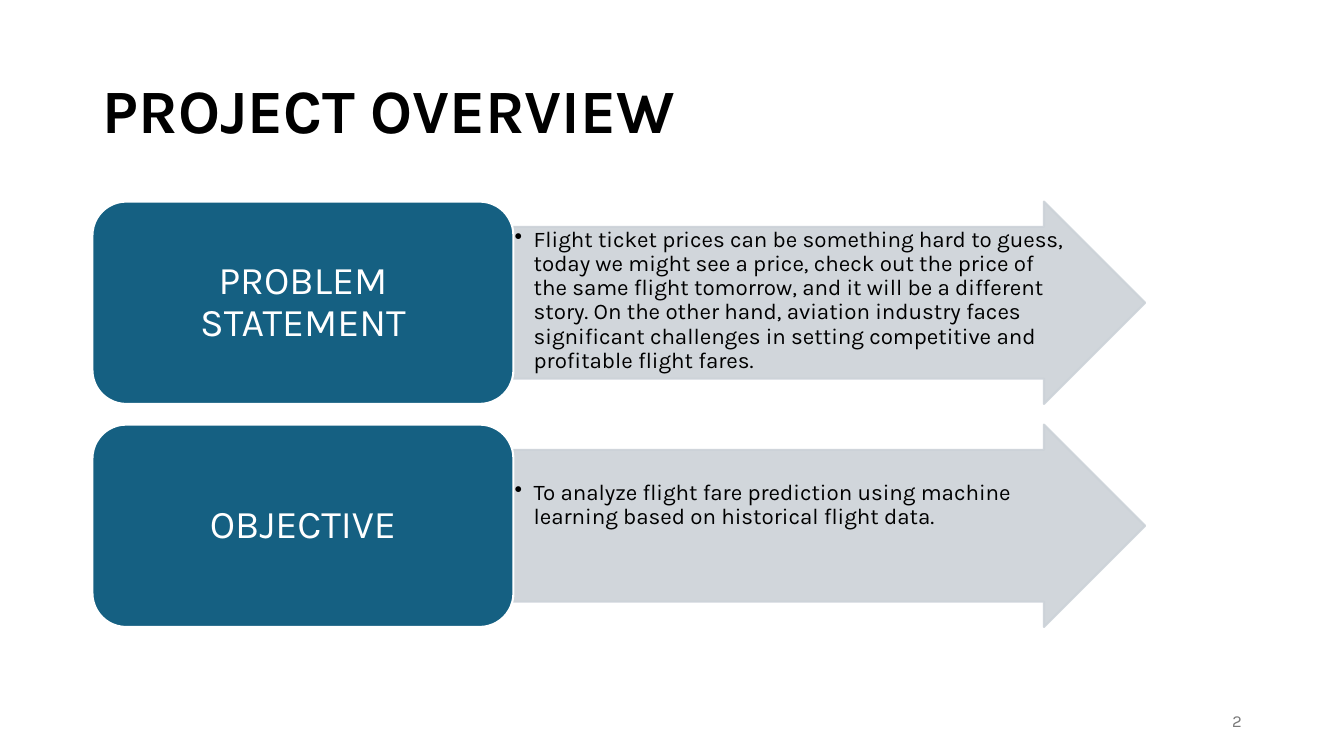
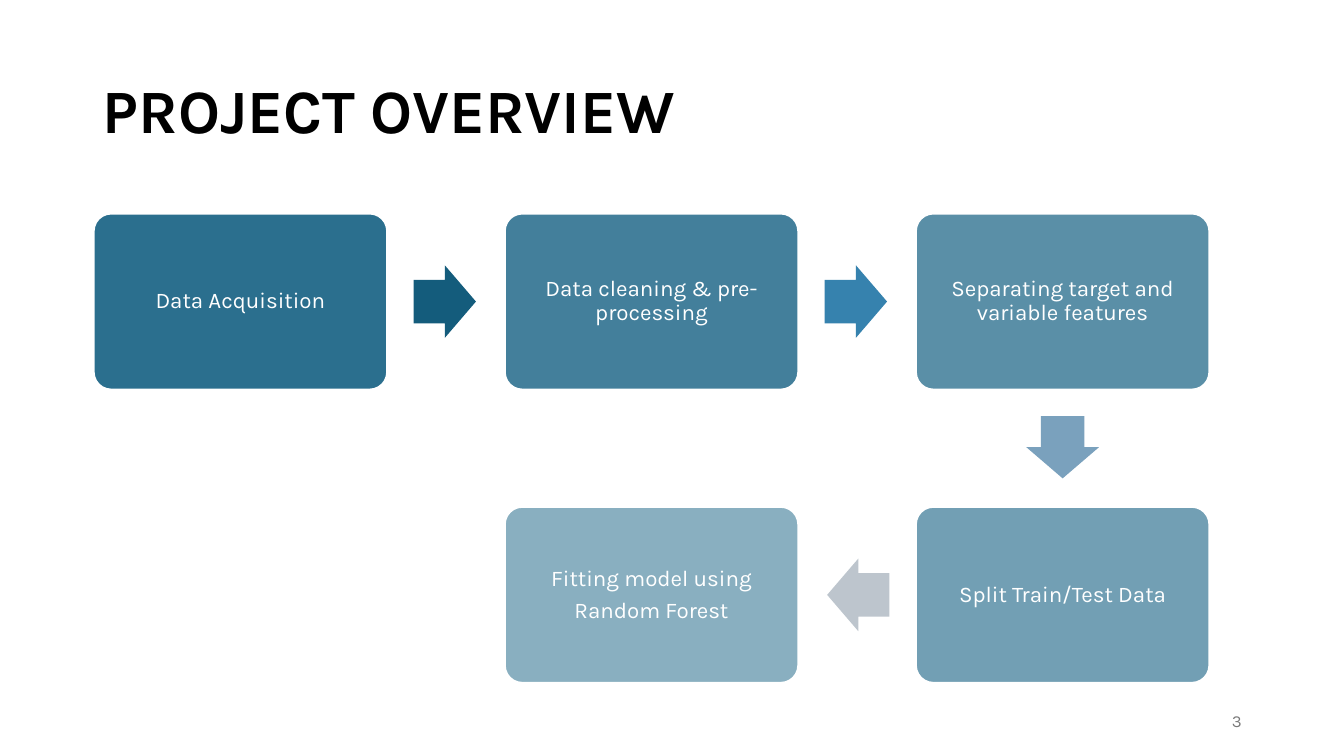
from copy import deepcopy
from math import atan2, degrees

from lxml import etree
from pptx import Presentation
from pptx.dml.color import RGBColor
from pptx.enum import shapes as kinds, text as txt
from pptx.oxml.ns import qn
from pptx.util import Cm, Pt

# Content
TITLE = "PROJECT OVERVIEW"
FIRST_PAGE = 2
# label, explanation, space above the explanation in cm
GOALS = [
    ("PROBLEM STATEMENT",
     "Flight ticket prices can be something hard to guess, today we might see "
     "a price, check out the price of the same flight tomorrow, and it will be "
     "a different story. On the other hand, aviation industry faces significant "
     "challenges in setting competitive and profitable flight fares.", 0.03),
    ("OBJECTIVE",
     "To analyze flight fare prediction using machine learning based on "
     "historical flight data.", 0.79),
]
# paragraphs, (column, row), opacity, colour of the arrow to the next step
STEPS = [
    (["Data Acquisition"], (0, 0), 90, "145C7C"),
    (["Data cleaning & pre-processing"], (1, 0), 80, "3682AE"),
    (["Separating target and variable features"], (2, 0), 70, "7AA1BD"),
    (["Split Train/Test Data"], (2, 1), 60, "BDC5CD"),
    (["Fitting model using", "Random Forest"], (1, 1), 50, None),
]

# Shared style
FONT = "Karla"
BLUE, PALE, WHITE, BLACK, GREY = "156082", "CCD2D8", "FFFFFF", "000000", "797979"
TITLE_BOX = (2.34, 1.02, 29.21, 3.68)
NUMBER_BOX = (23.93, 17.65, 7.62, 1.02)
ALIGN, SHAPE = txt.PP_ALIGN, kinds.MSO_SHAPE


def colour(target, value, opacity=100):
    """Give a fill or a line format a solid colour."""
    fill = getattr(target, "fill", target)
    fill.solid()
    fill.fore_color.rgb = RGBColor.from_string(value)
    if opacity < 100:
        clr = next(fill.fore_color._xFill.iter(qn("a:srgbClr")))
        etree.SubElement(clr, qn("a:alpha"), val=str(opacity * 1000))


def place(shape, box):
    shape.left, shape.top, shape.width, shape.height = map(Cm, box)


def write(shape, paragraphs, size, ink, align, bold=False, spacing=0.9, after=0,
          anchor=txt.MSO_ANCHOR.MIDDLE, insets=None):
    frame = shape.text_frame
    frame.clear()
    frame.word_wrap = True
    frame.auto_size = txt.MSO_AUTO_SIZE.NONE
    frame.vertical_anchor = anchor
    if insets:
        (frame.margin_left, frame.margin_top,
         frame.margin_right, frame.margin_bottom) = map(Cm, insets)
    for i, words in enumerate(paragraphs):
        paragraph = frame.add_paragraph() if i else frame.paragraphs[0]
        paragraph.alignment = align
        paragraph.line_spacing = spacing
        paragraph.space_before, paragraph.space_after = Pt(0), Pt(after)
        run = paragraph.add_run()
        run.text = words
        run.font.name, run.font.size, run.font.bold = FONT, Pt(size), bold
        run.font.color.rgb = RGBColor.from_string(ink)


def add_bullets(shape, indent):
    for paragraph in shape.text_frame.paragraphs:
        props = paragraph._p.get_or_add_pPr()
        props.set("marL", str(Cm(indent)))
        props.set("indent", str(-Cm(indent)))
        etree.SubElement(props, qn("a:buChar"), char="•")


def add_block(slide, kind, box, fill, opacity=100, line=None, line_opacity=100,
              adjust=()):
    block = slide.shapes.add_shape(kind, *map(Cm, box))
    block.shadow.inherit = False
    for i, value in enumerate(adjust):
        block.adjustments[i] = value
    colour(block.fill, fill, opacity)
    if line:
        colour(block.line, line, line_opacity)
        block.line.width = Pt(1.5)
    else:
        block.line.fill.background()
    return block


def set_up_layout(layout):
    """Move the title and number placeholders; return the number's."""
    place(layout.placeholders[0], TITLE_BOX)
    number = next(p for p in layout.placeholders if p.placeholder_format.type
                  == kinds.PP_PLACEHOLDER.SLIDE_NUMBER)
    place(number, NUMBER_BOX)
    return number


def add_page(prs, layout, number_holder):
    slide = prs.slides.add_slide(layout)
    write(slide.shapes.title, [TITLE], 44, BLACK, ALIGN.LEFT, bold=True)
    slide.shapes.element.append(deepcopy(number_holder.element))
    page = FIRST_PAGE + len(prs.slides) - 1
    write(slide.shapes[-1], [str(page)], 12, GREY, ALIGN.RIGHT, spacing=1.0)
    return slide


def draw_goals(slide):
    left, top, pitch, height = 2.33, 5.08, 5.62, 5.1
    label_width, arrow_width = 10.61, 15.92
    for row, (name, explanation, space_above) in enumerate(GOALS):
        y = top + row * pitch
        arrow = add_block(slide, SHAPE.RIGHT_ARROW,
                          (left + label_width, y, arrow_width, height),
                          PALE, 90, PALE, 90, adjust=(0.75, 0.5))
        write(arrow, [explanation], 16, BLACK, ALIGN.LEFT,
              anchor=txt.MSO_ANCHOR.TOP, insets=(0.03, space_above, 0.03, 0.03))
        add_bullets(arrow, 0.48)
        label = add_block(slide, SHAPE.ROUNDED_RECTANGLE,
                          (left, y, label_width, height), BLUE, line=WHITE)
        write(label, [name], 28, WHITE, ALIGN.CENTER,
              insets=(0.3, 0.15, 0.3, 0.15))


def draw_process(slide):
    left, top, pitch_x, pitch_y = 2.36, 5.38, 10.36, 7.39
    width, height = 7.4, 4.44
    arrow_length, arrow_breadth, reach = 1.57, 1.83, 1.45
    following = [step[1] for step in STEPS[1:]] + [None]
    for (words, (col, row), opacity, arrow_fill), target in zip(STEPS, following):
        x, y = left + col * pitch_x, top + row * pitch_y
        box = add_block(slide, SHAPE.ROUNDED_RECTANGLE, (x, y, width, height),
                        BLUE, opacity, WHITE, adjust=(0.1,))
        write(box, words, 16, WHITE, ALIGN.CENTER, after=5.6, insets=(0.18,) * 4)
        if target is None:
            continue
        # The arrow's centre lies a fixed reach beyond the box edge
        dx, dy = target[0] - col, target[1] - row
        centre_x = x + width / 2 + dx * (width / 2 + reach)
        centre_y = y + height / 2 + dy * (height / 2 + reach)
        arrow = add_block(slide, SHAPE.RIGHT_ARROW,
                          (centre_x - arrow_length / 2, centre_y - arrow_breadth / 2,
                           arrow_length, arrow_breadth),
                          arrow_fill, adjust=(0.6, 0.5))
        arrow.rotation = degrees(atan2(dy, dx))


def main():
    prs = Presentation()
    prs.slide_width, prs.slide_height = Cm(33.87), Cm(19.05)
    layout = prs.slide_layouts[5]
    number_holder = set_up_layout(layout)
    for draw in (draw_goals, draw_process):
        draw(add_page(prs, layout, number_holder))
    prs.save("out.pptx")


if __name__ == "__main__":
    main()
